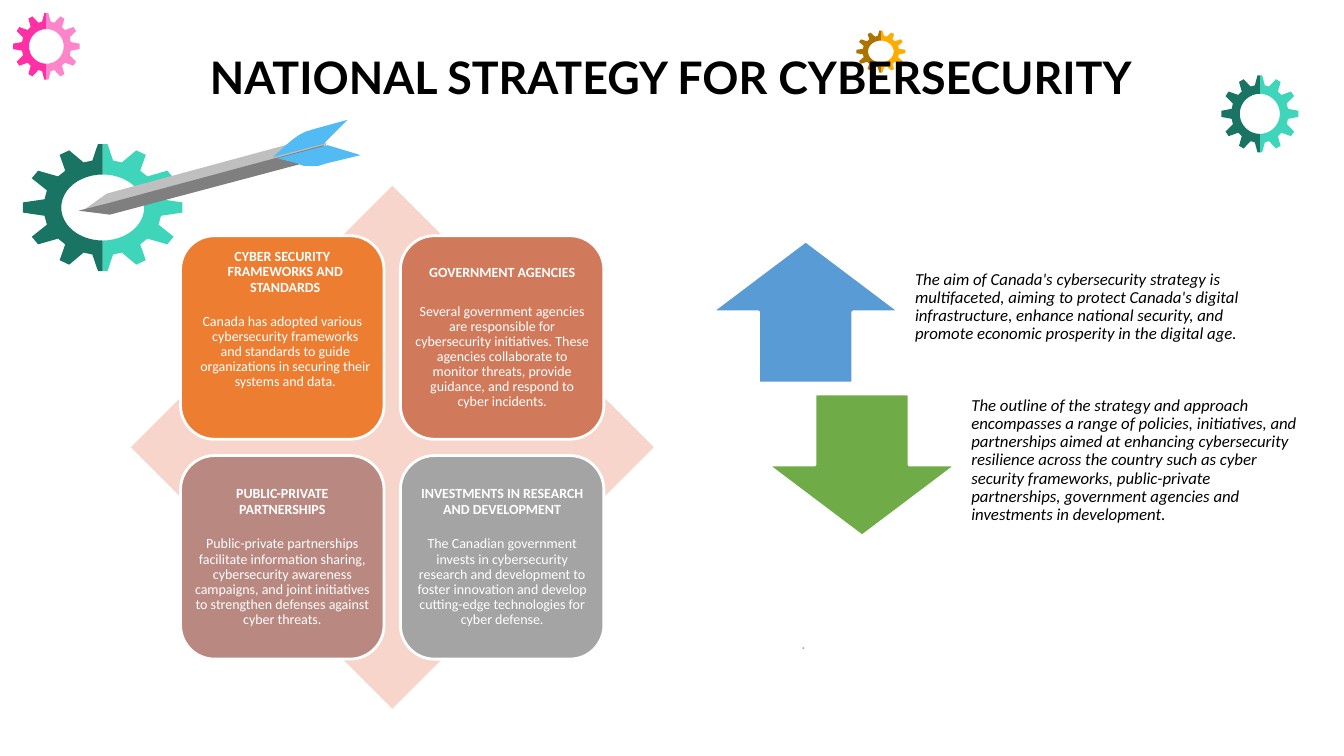
"""Build the national cybersecurity strategy slide."""
import math

import pptx
import pptx.dml.color
import pptx.enum.shapes
import pptx.enum.text
import pptx.util

Cm = pptx.util.Cm
Pt = pptx.util.Pt
SHAPE = pptx.enum.shapes.MSO_SHAPE
ALIGN = pptx.enum.text.PP_ALIGN
ANCHOR = pptx.enum.text.MSO_ANCHOR

TOOTH_PROFILE = [
    (0, -1), (0.06, -1), (0.13, -0.74), (0.24, -0.71), (0.42, -0.9),
    (0.54, -0.83), (0.47, -0.58), (0.56, -0.49), (0.81, -0.58), (0.89, -0.46),
    (0.7, -0.27), (0.73, -0.13), (1, -0.08),
]
HOLE_RADIUS = 0.52

GEARS = [
    (2.59, 5.23, 2.01, 1.6, "1A7463", "3FD5BA"),
    (1.17, 1.17, 0.84, 0.84, "FF2FA6", "FF85CB"),
    (31.75, 2.87, 0.97, 0.97, "1A7463", "3FD5BA"),
    (22.2, 1.3, 0.62, 0.53, "AC7300", "FFAC00"),
]

DART = [
    ("BFBFBF", [(8.15, 3.4), (8.23, 3.68), (2.77, 5.16), (2.06, 5.33), (2.69, 4.88)]),
    ("53BBF4", [(6.88, 3.96), (7.24, 3.63), (7.37, 3.52), (7.54, 3.4), (7.7, 3.32),
                (7.92, 3.25), (8.76, 3.02), (8.15, 3.63)]),
    ("7F7F7F", [(8.15, 3.66), (8.23, 3.96), (2.77, 5.41), (1.98, 5.31), (2.69, 5.13)]),
    ("53BBF4", [(6.99, 3.99), (7.47, 4.11), (7.65, 4.18), (7.85, 4.19), (8.03, 4.18),
                (8.26, 4.11), (9.09, 3.91), (8.26, 3.66)]),
]

CARDS = [
    ("ED7D31", ANCHOR.TOP, 0.15, 13.5, "CYBER SECURITY FRAMEWORKS AND STANDARDS",
     "Canada has adopted various cybersecurity frameworks and standards to guide "
     "organizations in securing their systems and data."),
    ("D07A5B", ANCHOR.MIDDLE, 0, 17, "GOVERNMENT AGENCIES",
     "Several government agencies are responsible for cybersecurity initiatives. These "
     "agencies collaborate to monitor threats, provide guidance, and respond to cyber "
     "incidents."),
    ("B88881", ANCHOR.MIDDLE, 0, 14, "PUBLIC-PRIVATE PARTNERSHIPS",
     "Public-private partnerships facilitate information sharing, cybersecurity awareness "
     "campaigns, and joint initiatives to strengthen defenses against cyber threats."),
    ("A4A4A4", ANCHOR.MIDDLE, 0, 14, "INVESTMENTS IN RESEARCH AND DEVELOPMENT",
     "The Canadian government invests in cybersecurity research and development to foster "
     "innovation and develop cutting-edge technologies for cyber defense."),
]

GOALS = [
    (SHAPE.UP_ARROW, "599BD5",
     "The aim of Canada's cybersecurity strategy is multifaceted, aiming to protect "
     "Canada's digital infrastructure, enhance national security, and promote economic "
     "prosperity in the digital age."),
    (SHAPE.DOWN_ARROW, "6FAB46",
     "The outline of the strategy and approach encompasses a range of policies, "
     "initiatives, and partnerships aimed at enhancing cybersecurity resilience across the "
     "country such as cyber security frameworks, public-private partnerships, government "
     "agencies and investments in development."),
]


def rgb(color):
    return pptx.dml.color.RGBColor.from_string(color)


class Deck:
    font = "Calibri"
    outline = "FFFFFF"

    def __init__(self, prs):
        self.s = prs.slides.add_slide(prs.slide_layouts[6])

    def paint(self, sp, fill, line=None):
        sp.shadow.inherit = False
        sp.fill.solid()
        sp.fill.fore_color.rgb = rgb(fill)
        if line:
            sp.line.color.rgb = rgb(line)
            sp.line.width = Pt(2)
        else:
            sp.line.fill.background()

    def shape(self, kind, x, y, w, h, fill, line=None):
        sp = self.s.shapes.add_shape(kind, Cm(x), Cm(y), Cm(w), Cm(h))
        self.paint(sp, fill, line)
        return sp

    def polygon(self, points, fill):
        points = [(Cm(x), Cm(y)) for x, y in points]
        builder = self.s.shapes.build_freeform(*points[0])
        builder.add_line_segments(points[1:], close=True)
        self.paint(builder.convert_to_shape(), fill)

    def gear(self, cx, cy, rx, ry, left, right):
        teeth = TOOTH_PROFILE + [(x, -y) for x, y in reversed(TOOTH_PROFILE)]
        angles = [math.pi * i / 24 for i in range(25)]
        hole = [(HOLE_RADIUS * math.sin(a), HOLE_RADIUS * math.cos(a)) for a in angles]
        for side, fill in ((1, right), (-1, left)):
            self.polygon([(cx + side * rx * x, cy + ry * y) for x, y in teeth + hole], fill)

    def frame(self, sp, anchor, margin):
        tf = sp.text_frame
        tf.word_wrap = True
        tf.vertical_anchor = anchor
        tf.margin_left = tf.margin_right = Cm(margin)
        tf.margin_top = tf.margin_bottom = Cm(margin)
        return tf

    def textbox(self, x, y, w, h, margin):
        sp = self.s.shapes.add_textbox(Cm(x), Cm(y), Cm(w), Cm(h))
        return self.frame(sp, ANCHOR.MIDDLE, margin)

    def run(self, p, text, size, color, font=None, bold=False, italic=False,
            align=ALIGN.LEFT, spacing=1.0):
        p.alignment = align
        p.line_spacing = spacing
        r = p.add_run()
        r.text = text
        r.font.name = font or self.font
        r.font.size = Pt(size)
        r.font.bold = bold
        r.font.italic = italic
        r.font.color.rgb = rgb(color)

    def card(self, x, y, size, fill, anchor, indent, gap, heading, body):
        sp = self.shape(SHAPE.ROUNDED_RECTANGLE, x, y, size, size, fill, self.outline)
        tf = self.frame(sp, anchor, 0.1)
        for p, text, bold in ((tf.paragraphs[0], heading, True),
                              (tf.add_paragraph(), body, False)):
            self.run(p, text, 10, "FFFFFF", bold=bold, align=ALIGN.CENTER, spacing=0.9)
            pPr = p._p.get_or_add_pPr()
            pPr.set("marL", str(Cm(indent)))
            pPr.set("indent", str(-Cm(indent)))
        p.space_before = Pt(gap)

    def goal(self, x, y, kind, fill, text):
        w, h = 4.75, 3.58
        self.shape(kind, x, y, w, h, fill, self.outline)
        tf = self.textbox(x + 4.9, y, 8.71, h, 0.23)
        tf.margin_top = 0
        self.run(tf.paragraphs[0], text, 12, "000000", italic=True, spacing=0.9)


def main():
    prs = pptx.Presentation()
    prs.slide_width, prs.slide_height = Cm(33.87), Cm(19.05)
    deck = Deck(prs)

    deck.gear(*GEARS[0])
    for fill, points in DART:
        deck.polygon(points, fill)
    for gear in GEARS[1:]:
        deck.gear(*gear)

    title = deck.textbox(0.33, 0.33, 33.17, 3.18, 0.25)
    deck.run(title.paragraphs[0], "NATIONAL STRATEGY FOR CYBERSECURITY", 32, "000000",
             font="Lato", bold=True, align=ALIGN.CENTER)
    dot = deck.textbox(19.94, 15.82, 13.28, 0.76, 0.25)
    deck.run(dot.paragraphs[0], ".", 12, "A6A6A6", font="Arial")

    deck.shape(SHAPE.DIAMOND, 3.3, 4.68, 13.18, 13.18, "F7D5CB")
    for i, card in enumerate(CARDS):
        row, col = divmod(i, 2)
        deck.card(4.55 + 5.54 * col, 5.94 + 5.54 * row, 5.13, *card)
    for i, goal in enumerate(GOALS):
        deck.goal(17.93 + 1.42 * i, 6.07 + 3.86 * i, *goal)

    prs.save("out.pptx")


if __name__ == "__main__":
    main()
